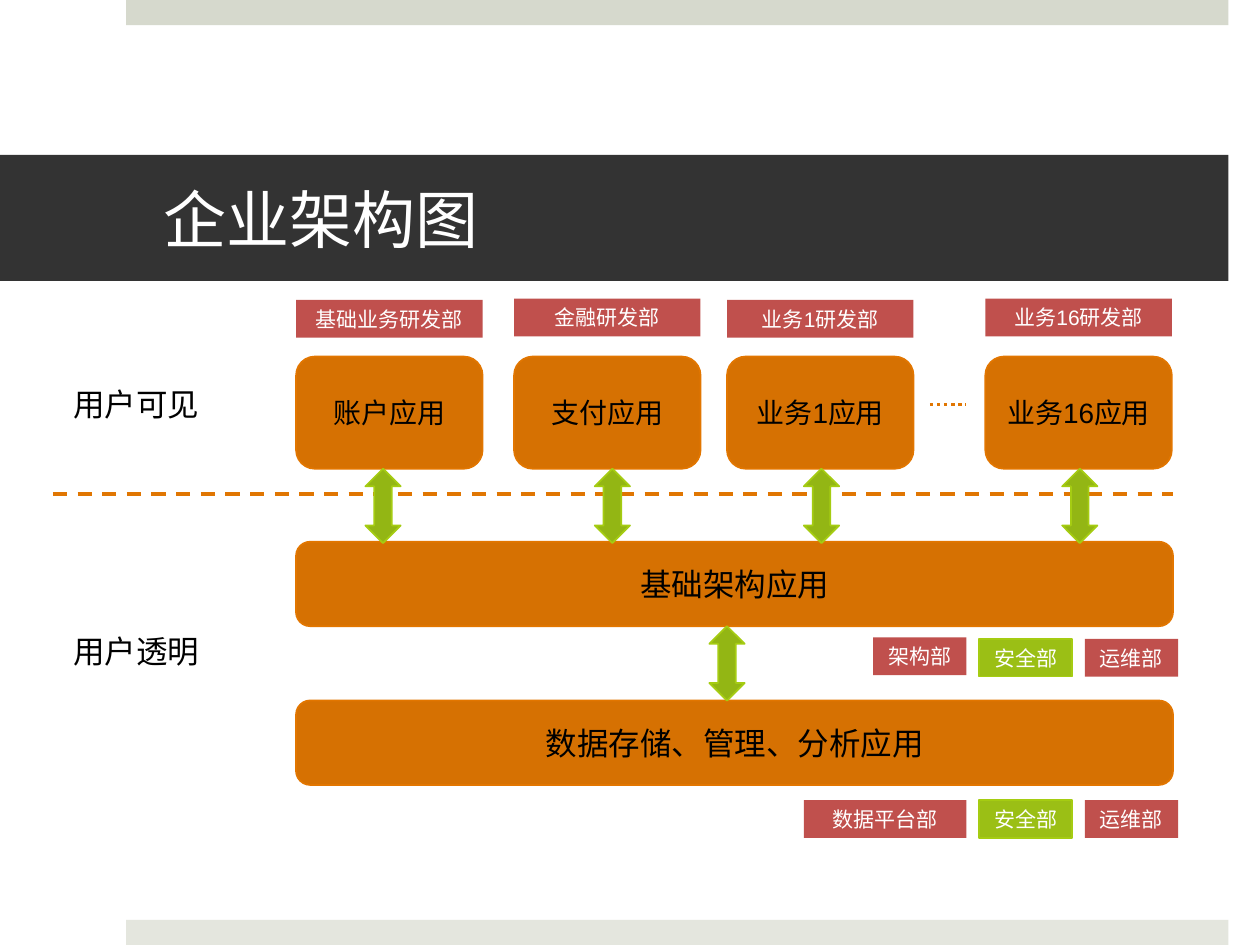
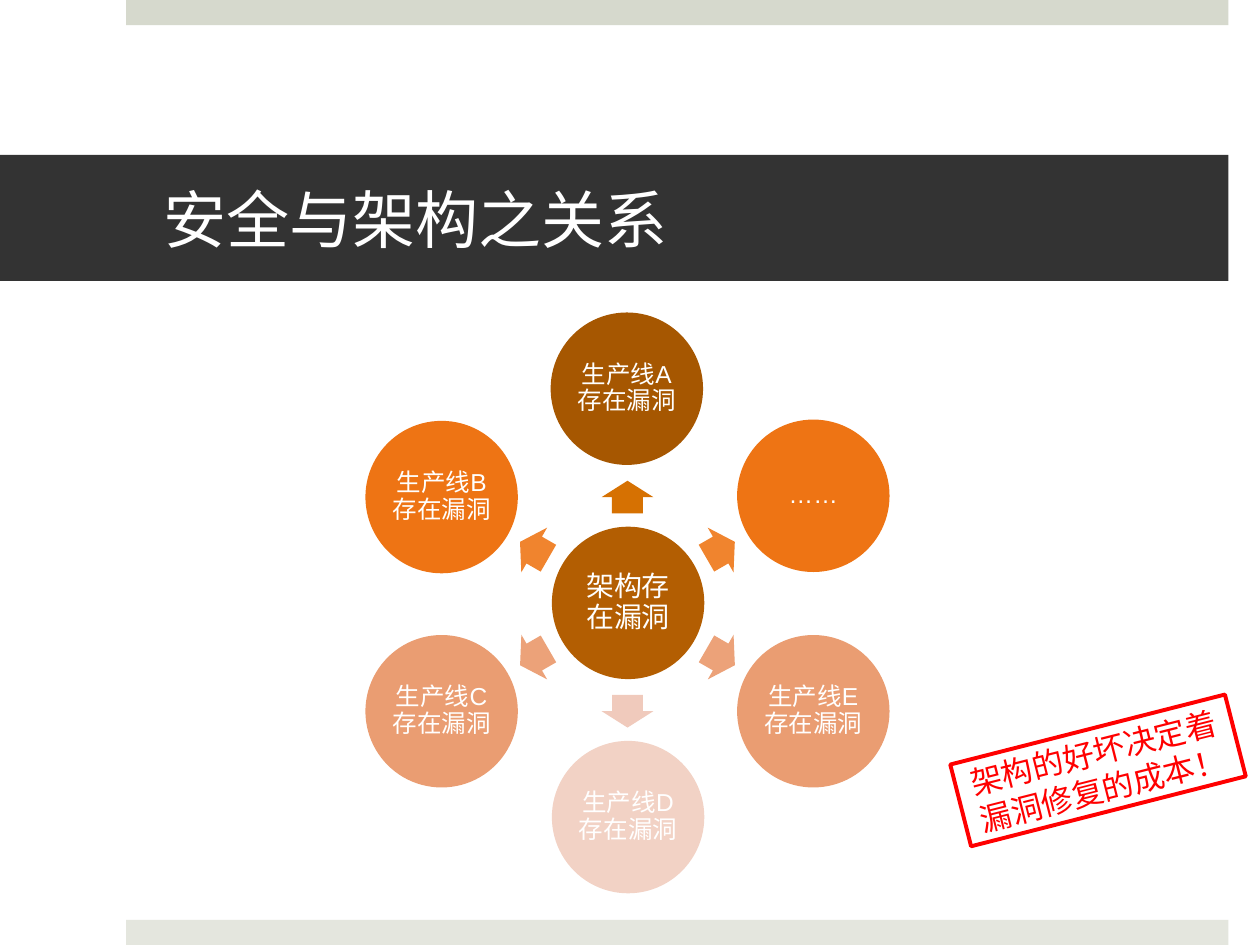
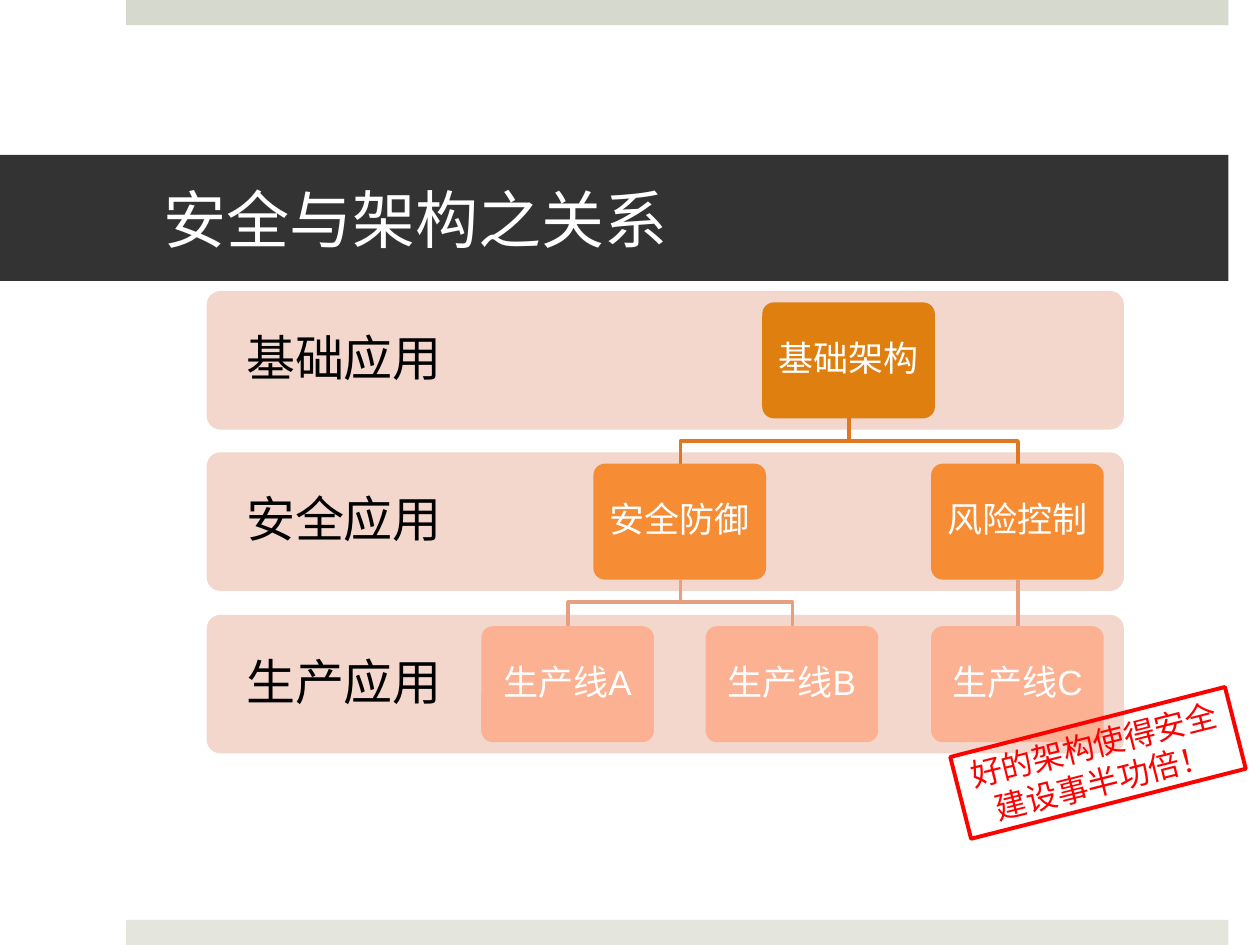
"""Build three slides on enterprise architecture and security."""
from dataclasses import dataclass
from math import cos, radians, sin

from pptx import Presentation
from pptx import util as u
from pptx.dml.color import RGBColor
from pptx.enum import dml, shapes, text
from pptx.oxml.xmlchemy import OxmlElement
from pptx.shapes.autoshape import Shape
from pptx.slide import Slide

PX = u.Inches(1) // 100
FONT = "Arial"
KIND = shapes.MSO_SHAPE
COLORS = {
    "white": "FFFFFF", "black": "000000", "red": "FF0000",
    "top_band": "D6D9CD", "bottom_band": "E4E6DE", "title_band": "333333",
    "app": "D67102", "app_edge": "E27600", "divider": "E07602",
    "arrow": "93B614", "security": "9BBF15", "green_edge": "A5CC12",
    "department": "C0504D", "hub": "B35E02", "tier": "F3D6CC",
    "line_a": "A65701", "line_b": "EE7414", "line_c": "EA9D72", "line_d": "F2D2C5",
    "spoke_a": "D67102", "spoke_b": "F0842E", "spoke_c": "ECA279", "spoke_d": "F0CABC",
    "node_0": "DF7F10", "node_1": "F68C33", "node_2": "FBB192",
    "link_1": "E07822", "link_2": "E79F7F",
}


@dataclass(frozen=True)
class Box:
    """A rectangle in px."""
    left: int
    top: int
    width: int
    height: int


@dataclass(frozen=True)
class Column:
    """A user-visible application with its department and arrow."""
    app: str
    department: str
    left: int
    tag_top: int
    arrow_left: int


@dataclass(frozen=True)
class Tag:
    """A department tag."""
    label: str
    left: int
    top: int
    width: int = 74
    color: str = "department"
    edge: str | None = None


@dataclass(frozen=True)
class Spoke:
    """A production line around the hub."""
    label: str
    angle: int
    shade: str


@dataclass(frozen=True)
class Node:
    """A node of the application tree."""
    label: str
    center: int
    tier: int
    parent: int | None = None


COLUMNS = (
    Column("账户应用", "基础业务研发部", 235, 238, 290),
    Column("支付应用", "金融研发部", 408, 237, 472),
    Column("业务1应用", "业务1研发部", 577, 238, 638),
    Column("业务16应用", "业务16研发部", 782, 237, 843),
)
TAGS = (
    Tag("架构部", 693, 506),
    Tag("安全部", 777, 507, color="security", edge="green_edge"),
    Tag("运维部", 861, 507),
    Tag("数据平台部", 638, 635, 129),
    Tag("安全部", 777, 635, color="security", edge="green_edge"),
    Tag("运维部", 861, 635),
)
SPOKES = (
    Spoke("生产线A存在漏洞", 270, "a"),
    Spoke("……", 330, "b"),
    Spoke("生产线E存在漏洞", 30, "c"),
    Spoke("生产线D存在漏洞", 90, "d"),
    Spoke("生产线C存在漏洞", 150, "c"),
    Spoke("生产线B存在漏洞", 210, "b"),
)
TIERS = ("基础应用", "安全应用", "生产应用")
NODES = (
    Node("基础架构", 674, 0),
    Node("安全防御", 540, 1, 0),
    Node("风险控制", 808, 1, 0),
    Node("生产线A", 451, 2, 1),
    Node("生产线B", 629, 2, 1),
    Node("生产线C", 808, 2, 2),
)


def rgb(name: str) -> RGBColor:
    """Look up a colour."""
    return RGBColor.from_string(COLORS[name])


def write(shape: Shape, content: str, *, size: int, color: str = "white",
          align: text.PP_ALIGN = text.PP_ALIGN.CENTER, spacing: float = 1.0,
          insets: tuple[int, int, int, int] = (10, 5, 10, 5)) -> None:
    """Put formatted text in a shape."""
    frame = shape.text_frame
    frame.word_wrap = True
    frame.vertical_anchor = text.MSO_ANCHOR.MIDDLE
    frame.margin_left, frame.margin_top, frame.margin_right, frame.margin_bottom = (
        inset * PX for inset in insets)
    paragraph = frame.paragraphs[0]
    paragraph.alignment = align
    paragraph.line_spacing = spacing
    run = paragraph.add_run()
    run.text = content
    run.font.name = FONT
    run.font.size = u.Pt(size)
    run.font.color.rgb = rgb(color)


def paint(shape: Shape, fill: str | None, edge: str | None, width: float) -> None:
    """Set fill and outline and remove the shadow."""
    shape.shadow.inherit = False
    if fill:
        shape.fill.solid()
        shape.fill.fore_color.rgb = rgb(fill)
    else:
        shape.fill.background()
    if edge:
        shape.line.color.rgb = rgb(edge)
        shape.line.width = u.Pt(width)
    else:
        shape.line.fill.background()


def draw(slide: Slide, kind: KIND, box: Box, fill: str | None = None,
         edge: str | None = None, *, width: float = 1, rotation: float = 0,
         adjust: tuple[float, ...] = ()) -> Shape:
    """Draw a preset shape."""
    shape = slide.shapes.add_shape(
        kind, box.left * PX, box.top * PX, box.width * PX, box.height * PX)
    paint(shape, fill, edge, width)
    shape.rotation = rotation
    for index, value in enumerate(adjust):
        shape.adjustments[index] = value
    return shape


def draw_label(slide: Slide, box: Box, content: str, **style) -> None:
    """Draw a plain text box."""
    shape = slide.shapes.add_textbox(
        box.left * PX, box.top * PX, box.width * PX, box.height * PX)
    write(shape, content, color="black", **style)


def draw_line(slide: Slide, start: tuple[int, int], end: tuple[int, int], color: str,
              dash: dml.MSO_LINE | None = None) -> None:
    """Draw a straight line without a shadow."""
    line = slide.shapes.add_connector(
        shapes.MSO_CONNECTOR.STRAIGHT, *(value * PX for value in (*start, *end)))
    line.line.color.rgb = rgb(color)
    line.line.width = u.Pt(2)
    if dash is not None:
        line.line.dash_style = dash
    line._element.spPr.append(OxmlElement("a:effectLst"))


def draw_tag(slide: Slide, tag: Tag) -> None:
    """Draw a department tag."""
    shape = draw(slide, KIND.RECTANGLE, Box(tag.left, tag.top, tag.width, 30),
                 tag.color, tag.edge)
    write(shape, tag.label, size=12)


def draw_app(slide: Slide, box: Box, label: str, size: int) -> None:
    """Draw an application box."""
    shape = draw(slide, KIND.ROUNDED_RECTANGLE, box, "app", "app_edge")
    write(shape, label, size=size, color="black")


def draw_exchange(slide: Slide, left: int, top: int) -> None:
    """Draw a two-way arrow."""
    draw(slide, KIND.UP_DOWN_ARROW, Box(left, top, 28, 59), "arrow", "green_edge")


def draw_stamp(slide: Slide, top: int, content: str) -> None:
    """Draw the tilted red conclusion."""
    stamp = draw(slide, KIND.RECTANGLE, Box(759, top, 225, 67), None, "red",
                 width=2.25, rotation=345.7)
    write(stamp, content, size=18, color="red")


def add_slide(presentation: Presentation, title: str) -> Slide:
    """Add a slide with its bands and title."""
    slide = presentation.slides.add_slide(presentation.slide_layouts[6])
    draw(slide, KIND.RECTANGLE, Box(100, 0, 875, 20), "top_band")
    draw(slide, KIND.RECTANGLE, Box(100, 730, 875, 20), "bottom_band")
    band = draw(slide, KIND.RECTANGLE, Box(0, 123, 975, 100), "title_band")
    write(band, title, size=36, align=text.PP_ALIGN.LEFT, insets=(130, 5, 30, 5))
    return slide


def build_architecture(presentation: Presentation) -> None:
    """Build the enterprise architecture slide."""
    slide = add_slide(presentation, "企业架构图")
    draw_line(slide, (738, 321), (766, 321), "divider", dml.MSO_LINE.ROUND_DOT)
    draw_line(slide, (42, 392), (931, 392), "divider", dml.MSO_LINE.DASH)
    for label, top in (("用户可见", 301), ("用户透明", 497)):
        draw_label(slide, Box(21, top, 174, 40), label, size=18)
    for label, top in (("基础架构应用", 430), ("数据存储、管理、分析应用", 556)):
        draw_app(slide, Box(235, top, 696, 67), label, 18)
    for column in COLUMNS:
        draw_app(slide, Box(column.left, 283, 148, 89), column.app, 16)
        draw_tag(slide, Tag(column.department, column.left, column.tag_top, 148))
        draw_exchange(slide, column.arrow_left, 372)
    draw_exchange(slide, 563, 497)
    for tag in TAGS:
        draw_tag(slide, tag)


def draw_circle(slide: Slide, x: float, y: float, color: str, label: str, size: int) -> None:
    """Draw a labelled circle around a centre."""
    diameter = 121
    box = Box(round(x - diameter / 2), round(y - diameter / 2), diameter, diameter)
    circle = draw(slide, KIND.OVAL, box, color)
    write(circle, label, size=size, spacing=0.9, insets=(2, 2, 2, 2))


def build_hub(presentation: Presentation) -> None:
    """Build the slide of flaws that spread from the architecture."""
    slide = add_slide(presentation, "安全与架构之关系")
    x, y, orbit = 498, 479, 170
    draw_circle(slide, x, y, "hub", "架构存在漏洞", 16)
    for spoke in SPOKES:
        dx, dy = (orbit * turn(radians(spoke.angle)) for turn in (cos, sin))
        arrow = Box(round(x + dx / 2 - 13), round(y + dy / 2 - 20.5), 26, 41)
        draw(slide, KIND.RIGHT_ARROW, arrow, f"spoke_{spoke.shade}",
             rotation=spoke.angle, adjust=(0.6, 0.5))
        draw_circle(slide, x + dx, y + dy, f"line_{spoke.shade}", spoke.label, 14)
    draw_stamp(slide, 578, "架构的好坏决定着漏洞修复的成本！")


def draw_link(slide: Slide, parent: Node, child: Node, start: int, end: int) -> None:
    """Link a parent to its child with a straight or bent line."""
    color = f"link_{child.tier}"
    if parent.center == child.center:
        draw_line(slide, (parent.center, start), (child.center, end), color)
        return
    middle = (start + end) // 2
    builder = slide.shapes.build_freeform(parent.center, start, scale=PX)
    builder.add_line_segments(
        [(parent.center, middle), (child.center, middle), (child.center, end)], close=False)
    paint(builder.convert_to_shape(), None, color, 2)


def build_tree(presentation: Presentation) -> None:
    """Build the slide of application tiers."""
    slide = add_slide(presentation, "安全与架构之关系")
    tops = [231 + tier * 257 // 2 for tier in range(len(TIERS))]
    node_width, node_height, node_gap = 137, 92, 9
    for label, top in zip(TIERS, tops):
        draw(slide, KIND.ROUNDED_RECTANGLE, Box(164, top, 728, 110), "tier", adjust=(0.1,))
        draw_label(slide, Box(164, top, 218, 110), label, size=28, spacing=0.9,
                   insets=(22, 22, 22, 22))
    for node in NODES:
        top = tops[node.tier] + node_gap
        if node.parent is not None:
            parent = NODES[node.parent]
            draw_link(slide, parent, node, tops[parent.tier] + node_gap + node_height, top)
        box = Box(node.center - node_width // 2 - 1, top, node_width, node_height)
        shape = draw(slide, KIND.ROUNDED_RECTANGLE, box, f"node_{node.tier}", adjust=(0.1,))
        write(shape, node.label, size=20, spacing=0.9, insets=(8, 8, 8, 8))
    draw_stamp(slide, 572, "好的架构使得安全建设事半功倍！")


def main() -> None:
    """Build and save the presentation."""
    presentation = Presentation()
    presentation.slide_width = 1000 * PX
    presentation.slide_height = 750 * PX
    build_architecture(presentation)
    build_hub(presentation)
    build_tree(presentation)
    presentation.save("out.pptx")


if __name__ == "__main__":
    main()
